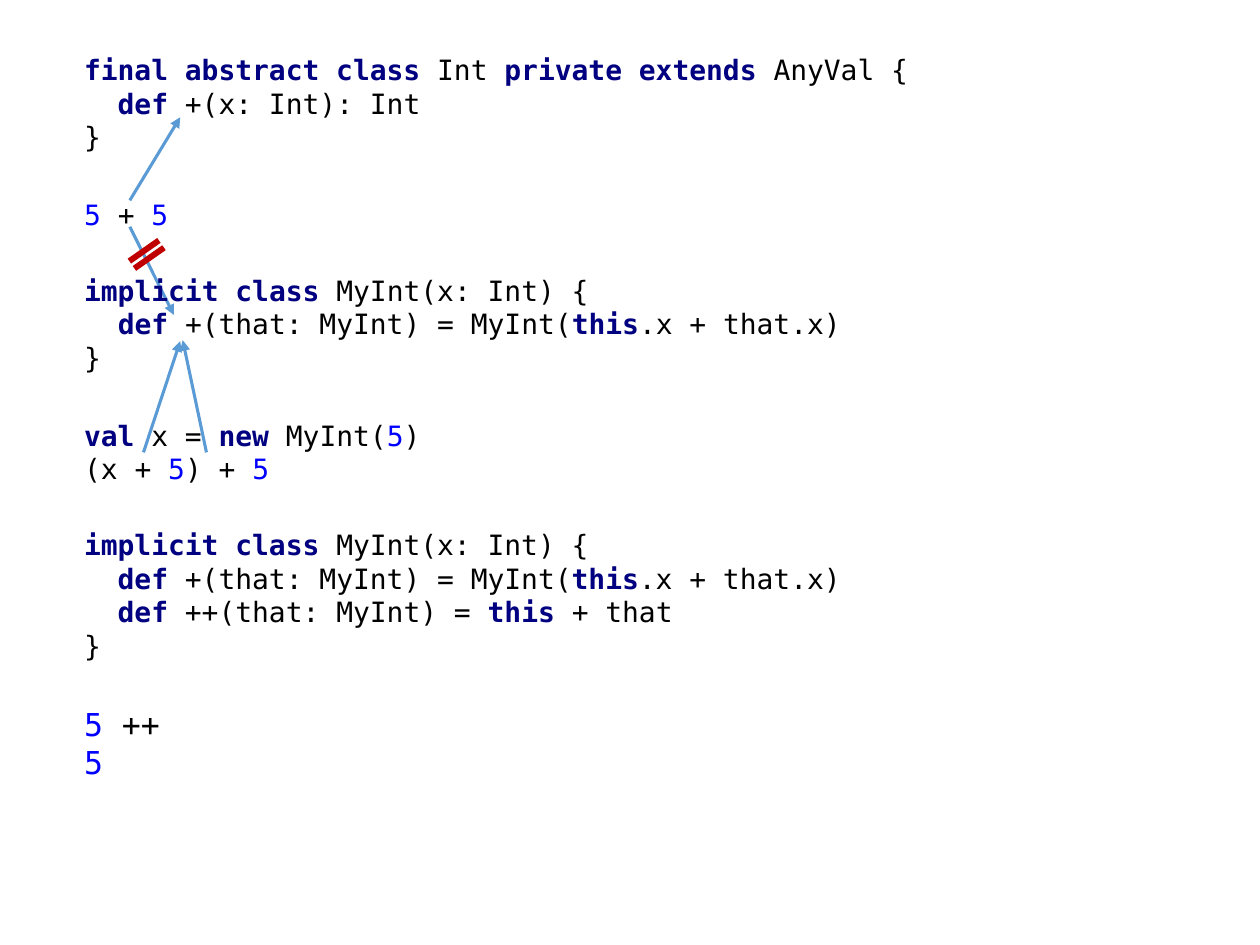
from lxml import etree
from pptx import Presentation
from pptx.dml.color import RGBColor
from pptx.enum.shapes import MSO_CONNECTOR, MSO_SHAPE
from pptx.oxml.ns import qn
from pptx.util import Pt

STRAIGHT = MSO_CONNECTOR.STRAIGHT
EQUAL_SIGN = MSO_SHAPE.MATH_EQUAL

NAVY = RGBColor(0x00, 0x00, 0x80)
BLUE = RGBColor(0x00, 0x00, 0xFF)
BLACK = RGBColor(0x00, 0x00, 0x00)
ARROW_BLUE = RGBColor(0x5B, 0x9B, 0xD5)
RED = RGBColor(0xC0, 0x00, 0x00)

FONT = "DejaVu Sans Mono"
LEFT = 41

# Token styles: colour, bold
KEYWORD = (NAVY, True)
NUMBER = (BLUE, False)
PLAIN = (BLACK, False)

MY_INT_START = [
    ("implicit class ", KEYWORD), ("MyInt(x: Int) {\n  ", PLAIN),
    ("def ", KEYWORD), ("+(that: MyInt) = MyInt(", PLAIN),
    ("this", KEYWORD), (".x + that.x)\n", PLAIN),
]

# Top, width, height, text size, tokens
CODE_BLOCKS = [
    (26.6, 628.6, 65.5, 16, [
        ("final abstract class ", KEYWORD), ("Int ", PLAIN),
        ("private extends ", KEYWORD), ("AnyVal {\n  ", PLAIN),
        ("def ", KEYWORD), ("+(x: Int): Int\n}", PLAIN),
    ]),
    (109.4, 82.8, 26.6, 16, [("5 ", NUMBER), ("+ ", PLAIN), ("5", NUMBER)]),
    (152.6, 514.8, 65.5, 16, MY_INT_START + [("}", PLAIN)]),
    (235.4, 402.5, 46, 16, [
        ("val ", KEYWORD), ("x = ", PLAIN), ("new ", KEYWORD),
        ("MyInt(", PLAIN), ("5", NUMBER), (")\n(x + ", PLAIN),
        ("5", NUMBER), (") + ", PLAIN), ("5", NUMBER),
    ]),
    (298, 551.5, 85, 16, MY_INT_START + [
        ("  ", PLAIN), ("def ", KEYWORD), ("++(that: MyInt) = ", PLAIN),
        ("this ", KEYWORD), ("+ that\n}", PLAIN),
    ]),
    (399.6, 74.2, 28.8, 18, [("5", NUMBER), (" ++ ", PLAIN), ("5", NUMBER)]),
]

# Start and end of each arrow from a call to the method it resolves to
ARROWS = [
    ((118, 258.5), (104.4, 194.4)),
    ((82, 258.5), (103, 195)),
    ((74.2, 129.6), (99.4, 180)),
    ((74.2, 114.5), (103, 67)),
]
REJECTED_MARK = (69.8, 138.2, 28.1, 14.4)


def add_arrow(page, start, end):
    arrow = page.shapes.add_connector(
        STRAIGHT, *(Pt(value) for value in start + end))
    arrow.line.color.rgb = ARROW_BLUE
    arrow.line.width = Pt(1.75)
    etree.SubElement(arrow.line._get_or_add_ln(), qn("a:tailEnd"), type="triangle")
    etree.SubElement(arrow._element.spPr, qn("a:effectLst"))


def add_code(page, top, width, height, size, tokens):
    box = page.shapes.add_textbox(Pt(LEFT), Pt(top), Pt(width), Pt(height))
    box.text_frame.word_wrap = True
    para = box.text_frame.paragraphs[0]
    para.font.size = Pt(size)
    para.font.name = FONT
    for text, (colour, bold) in tokens:
        for number, piece in enumerate(text.split("\n")):
            if number:
                para.add_line_break()
            if piece:
                span = para.add_run()
                span.text = piece
                span.font.name = FONT
                span.font.size = Pt(size)
                span.font.bold = bold
                span.font.color.rgb = colour


def add_rejected_mark(page):
    mark = page.shapes.add_shape(EQUAL_SIGN, *(Pt(value) for value in REJECTED_MARK))
    mark.rotation = 325
    mark.shadow.inherit = False
    mark.fill.solid()
    mark.fill.fore_color.rgb = RED
    mark.line.fill.background()


def main():
    deck = Presentation()
    deck.slide_width, deck.slide_height = Pt(720), Pt(540)
    page = deck.slides.add_slide(deck.slide_layouts.get_by_name("Blank"))
    for start, end in ARROWS:
        add_arrow(page, start, end)
    for block in CODE_BLOCKS:
        add_code(page, *block)
    add_rejected_mark(page)
    deck.save("out.pptx")


if __name__ == "__main__":
    main()
